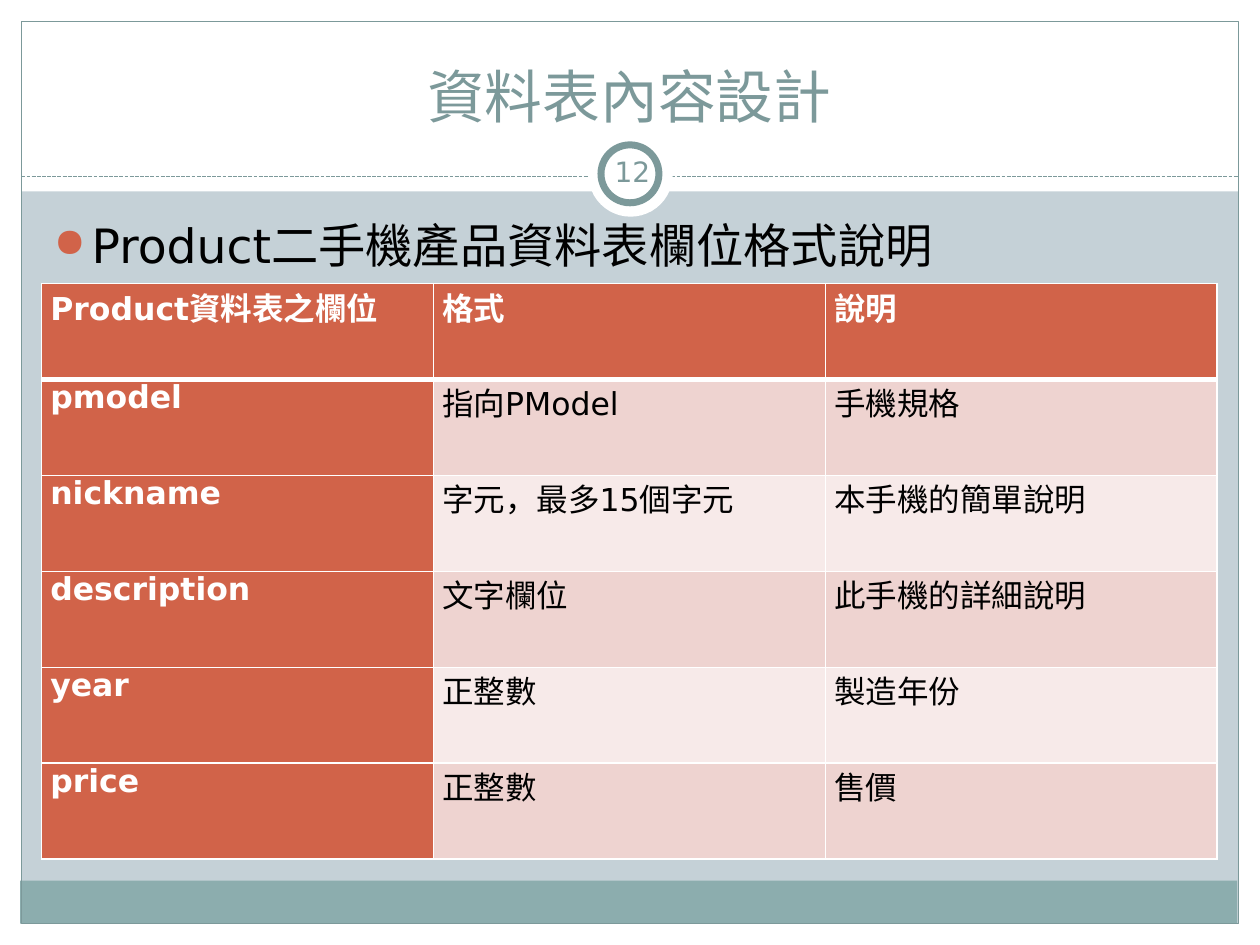
"""Build the slide that describes the fields of the Product table."""
from lxml.etree import SubElement
from pptx import Presentation
from pptx.dml.color import RGBColor
from pptx.enum.dml import MSO_LINE
from pptx.enum.shapes import MSO_CONNECTOR, MSO_SHAPE
from pptx.enum.text import MSO_ANCHOR, PP_ALIGN
from pptx.oxml.ns import qn
from pptx.util import Inches, Pt

FONT = "DejaVu Sans"
COLORS = {
    "back": "C5D1D7", "white": "FFFFFF", "teal": "7C999A", "band": "8CADAE",
    "black": "000000", "rust": "D16349", "rose": "EED3D0", "pale": "F7EAE9",
}
ROWS = [
    ("Product資料表之欄位", "格式", "說明"),
    ("pmodel", "指向PModel", "手機規格"),
    ("nickname", "字元，最多15個字元", "本手機的簡單說明"),
    ("description", "文字欄位", "此手機的詳細說明"),
    ("year", "正整數", "製造年份"),
    ("price", "正整數", "售價"),
]


def tint(name):
    return RGBColor.from_string(COLORS[name])


class Deck:
    def __init__(self):
        self.show = Presentation()
        self.show.slide_width, self.show.slide_height = Inches(10), Inches(7.5)
        self.slide = self.show.slides.add_slide(self.show.slide_layouts[5])
        self.shapes = self.slide.shapes
        fill = self.slide.background.fill
        fill.solid()
        fill.fore_color.rgb = tint("back")

    def shape(self, kind, box, fill=None, line=None, width=0.75):
        item = self.shapes.add_shape(kind, *map(Inches, box))
        item.shadow.inherit = False
        if fill:
            item.fill.solid()
            item.fill.fore_color.rgb = tint(fill)
        else:
            item.fill.background()
        if line:
            item.line.color.rgb = tint(line)
            item.line.width = Pt(width)
        else:
            item.line.fill.background()

    def rule(self, left, right, top):
        line = self.shapes.add_connector(
            MSO_CONNECTOR.STRAIGHT, Inches(left), Inches(top), Inches(right), Inches(top))
        line.line.color.rgb = tint("teal")
        line.line.width = Pt(0.75)
        line.line.dash_style = MSO_LINE.SQUARE_DOT
        SubElement(line._element.spPr, qn("a:effectLst"))

    def label(self, frame, text, size, color, align, bold=False):
        frame.text = text
        part = frame.paragraphs[0]
        part.alignment = align
        font = part.runs[0].font
        font.name, font.size, font.bold = FONT, Pt(size), bold
        font.color.rgb = tint(color)
        return part

    def title(self, text, box):
        item = self.shapes.title
        item.left, item.top, item.width, item.height = map(Inches, box)
        self.shapes._spTree.append(item._element)
        item.text_frame.vertical_anchor = MSO_ANCHOR.BOTTOM
        self.label(item.text_frame, text, 33, "teal", PP_ALIGN.CENTER)

    def text(self, text, box, size, color, align=PP_ALIGN.LEFT, anchor=MSO_ANCHOR.TOP):
        frame = self.shapes.add_textbox(*map(Inches, box)).text_frame
        frame.word_wrap = True
        frame.vertical_anchor = anchor
        return frame, self.label(frame, text, size, color, align)

    def number(self, text, box):
        frame, _ = self.text(text, box, 16, "teal", PP_ALIGN.CENTER, MSO_ANCHOR.MIDDLE)
        frame.margin_left = frame.margin_right = Inches(0.05)

    def bullet(self, text, box):
        _, part = self.text(text, box, 27, "black")
        part.space_before = Pt(5.4)
        props = part._p.get_or_add_pPr()
        props.set("marL", str(Inches(0.3)))
        props.set("indent", str(-Inches(0.3)))
        color = SubElement(props, qn("a:buClr"))
        SubElement(color, qn("a:srgbClr"), val=COLORS["rust"])
        SubElement(props, qn("a:buSzPct"), val="85000")
        SubElement(props, qn("a:buChar"), char="●")

    def border(self, cell, row):
        props = cell._tc.get_or_add_tcPr()
        for side in "LRTB":
            thick = (row, side) in ((0, "B"), (1, "T"))
            line = SubElement(props, qn(f"a:ln{side}"), w=str(Pt(3 if thick else 1)))
            fill = SubElement(line, qn("a:solidFill"))
            SubElement(fill, qn("a:srgbClr"), val=COLORS["white"])

    def table(self, rows, box):
        grid = self.shapes.add_table(len(rows), len(rows[0]), *map(Inches, box)).table
        for r, row in enumerate(rows):
            for c, text in enumerate(row):
                cell = grid.cell(r, c)
                head = r == 0 or c == 0
                cell.margin_left = cell.margin_right = Inches(0.07)
                cell.margin_top = cell.margin_bottom = 0
                part = self.label(cell.text_frame, text, 18,
                                  "white" if head else "black", PP_ALIGN.JUSTIFY, head)
                part.space_before = part.space_after = Pt(12)
                self.border(cell, r)
                cell.fill.solid()
                cell.fill.fore_color.rgb = tint(
                    "rust" if head else "rose" if r % 2 else "pale")


def main():
    deck = Deck()
    rect, oval = MSO_SHAPE.RECTANGLE, MSO_SHAPE.OVAL
    for box in ((0, 7.33, 10, 0.17), (0, 0, 10, 1.52),
                (0, 0, 0.17, 7.5), (9.83, 0, 0.17, 7.5)):
        deck.shape(rect, box, "white")
    deck.shape(rect, (0.16, 6.99, 9.66, 0.34), "band")
    deck.shape(rect, (0.17, 0.17, 9.66, 7.16), line="teal")
    deck.rule(0.17, 9.83, 1.4)
    deck.shape(oval, (4.67, 1.05, 0.67, 0.67), "white")
    deck.shape(oval, (4.77, 1.15, 0.46, 0.46), "white", "teal", 4)
    deck.title("資料表內容設計", (0.33, 0.25, 9.33, 0.83))
    deck.number("12", (4.77, 1.12, 0.5, 0.48))
    deck.bullet("Product二手機產品資料表欄位格式說明", (0.33, 1.67, 9.3, 5))
    deck.table(ROWS, (0.33, 2.25, 9.33, 4.57))
    deck.show.save("out.pptx")


if __name__ == "__main__":
    main()
